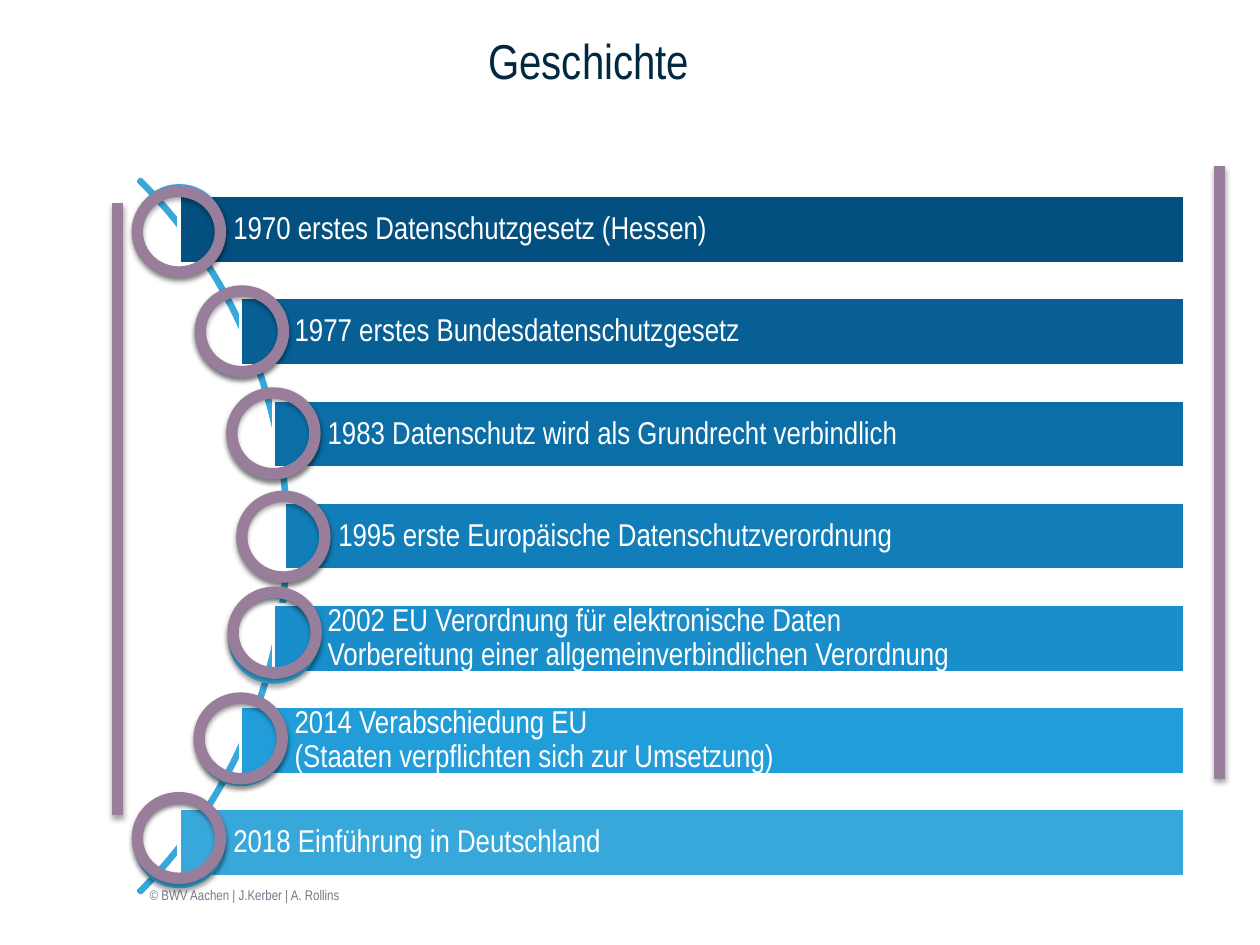
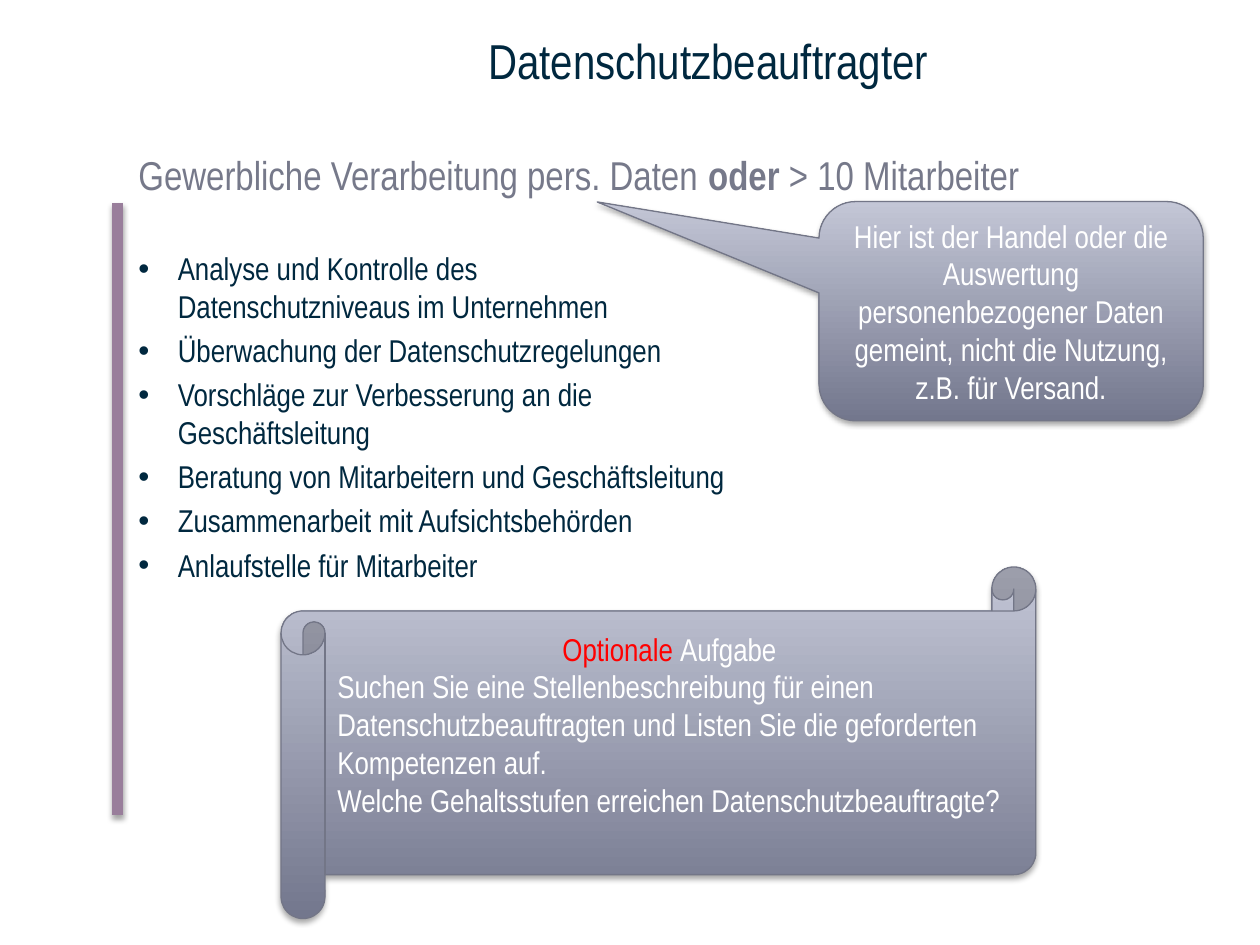
from dataclasses import dataclass, field
from math import sqrt
from typing import Any, NamedTuple

from lxml import etree
from pptx import Presentation
from pptx.dml.color import RGBColor
from pptx.enum.shapes import MSO_CONNECTOR, MSO_SHAPE
from pptx.enum.text import MSO_ANCHOR, PP_ALIGN
from pptx.oxml.ns import qn
from pptx.util import Pt

RECT, OVAL, ARC = MSO_SHAPE.RECTANGLE, MSO_SHAPE.OVAL, MSO_SHAPE.BLOCK_ARC
SCROLL, CALLOUT = MSO_SHAPE.HORIZONTAL_SCROLL, MSO_SHAPE.ROUNDED_RECTANGULAR_CALLOUT
STRAIGHT = MSO_CONNECTOR.STRAIGHT
TOP, MIDDLE = MSO_ANCHOR.TOP, MSO_ANCHOR.MIDDLE
LEFT, CENTER = PP_ALIGN.LEFT, PP_ALIGN.CENTER

FONT = "Arial Narrow"
COLORS = {
    "white": "FFFFFF", "navy": "00283F", "slate": "76798A", "red": "FF0000",
    "mauve": "997E9B", "sky": "38A8DB", "edge": "737687",
    "panel_dark": "73778D", "panel_light": "C3C6D6",
}
BODY_SIZE = 18
ACCENT_WIDTH = 6.5
BULLET_INDENT = 22.5


class Box(NamedTuple):
    left: float
    top: float
    width: float
    height: float

    def points(self) -> list[Pt]:
        return [Pt(value) for value in self]


class Span(NamedTuple):
    text: str
    color: str = "white"
    size: float = BODY_SIZE
    bold: bool = False


@dataclass
class Para:
    spans: list[Span]
    layout: dict[str, Any] = field(default_factory=dict)
    bullet: bool = False


class Milestone(NamedTuple):
    text: str
    color: str
    ring_left: float
    ring_top: float


def rgb(name: str) -> RGBColor:
    return RGBColor.from_string(COLORS.get(name, name))


def apply(target: Any, values: dict[str, Any]) -> None:
    for name, value in values.items():
        setattr(target, name, value)


# Shared drawing functions
def set_effects(shape: Any, shadow: bool) -> None:
    """Replace the theme shadow; call after fill and line are set."""
    effects = etree.SubElement(shape._element.spPr, qn("a:effectLst"))
    if shadow:
        outer = etree.SubElement(effects, qn("a:outerShdw"), blurRad=str(Pt(3.1)),
                                 dist=str(Pt(1.8)), dir="5400000", rotWithShape="0")
        black = etree.SubElement(outer, qn("a:srgbClr"), val="000000")
        etree.SubElement(black, qn("a:alpha"), val="35000")


def set_line(shape: Any, color: str, width: float) -> None:
    shape.line.color.rgb = rgb(color)
    shape.line.width = Pt(width)


def add_outline(slide: Any, kind: Any, box: Box, color: str, width: float,
                fill: str = "", shadow: bool = False) -> Any:
    shape = slide.shapes.add_shape(kind, *box.points())
    if fill:
        shape.fill.solid()
        shape.fill.fore_color.rgb = rgb(fill)
    else:
        shape.fill.background()
    set_line(shape, color, width)
    set_effects(shape, shadow)
    return shape


def add_accent_line(slide: Any, x: float, top: float, bottom: float) -> None:
    line = slide.shapes.add_connector(STRAIGHT, Pt(x), Pt(top), Pt(x), Pt(bottom))
    set_line(line, "mauve", ACCENT_WIDTH)
    set_effects(line, True)


def add_bullet(paragraph: Any) -> None:
    properties = paragraph._p.get_or_add_pPr()
    properties.set("marL", str(Pt(BULLET_INDENT)))
    properties.set("indent", str(-Pt(BULLET_INDENT)))
    etree.SubElement(properties, qn("a:buFont"), typeface="Arial")
    etree.SubElement(properties, qn("a:buChar"), char="•")


def write(shape: Any, paras: list[Para], anchor: Any = TOP, **margins: Any) -> None:
    frame = shape.text_frame
    apply(frame, {"word_wrap": True, "vertical_anchor": anchor, **margins})
    for index, para in enumerate(paras):
        paragraph = frame.add_paragraph() if index else frame.paragraphs[0]
        if para.bullet:
            add_bullet(paragraph)
        apply(paragraph, {"alignment": LEFT, **para.layout})
        for span in para.spans:
            for number, text in enumerate(span.text.split("\n")):
                if number:
                    paragraph.add_line_break()
                run = paragraph.add_run()
                run.text = text
                apply(run.font, {"name": FONT, "size": Pt(span.size), "bold": span.bold})
                run.font.color.rgb = rgb(span.color)


def add_text(slide: Any, box: Box, paras: list[Para], anchor: Any = TOP) -> None:
    write(slide.shapes.add_textbox(*box.points()), paras, anchor)


def add_panel(slide: Any, kind: Any, box: Box, paras: list[Para],
              adjustments: tuple[float, ...] = (), **margins: Any) -> None:
    panel = slide.shapes.add_shape(kind, *box.points())
    for index, value in enumerate(adjustments):
        panel.adjustments[index] = value
    panel.fill.gradient()
    panel.fill.gradient_angle = 90
    for stop, color in zip(panel.fill.gradient_stops, ("panel_dark", "panel_light")):
        stop.color.rgb = rgb(color)
    for stop, position in zip(panel.fill.gradient_stops, (0, 1)):
        stop.position = position
    set_line(panel, "edge", 0.75)
    set_effects(panel, True)
    write(panel, paras, MIDDLE, **margins)


def add_titled_slide(prs: Any, title: str) -> Any:
    slide = prs.slides.add_slide(prs.slide_layouts[6])
    add_accent_line(slide, 67, 116, 466)
    add_text(slide, Box(272, 13.7, 448, 78.5), [Para([Span(title, "navy", 28)])])
    return slide


# Timeline: bars start on a circle around a centre left of the slide
MILESTONES = [
    Milestone("1970 erstes Datenschutzgesetz (Hessen)", "034F80", 78.5, 109.4),
    Milestone("1977 erstes Bundesdatenschutzgesetz", "075F94", 114.5, 166.3),
    Milestone("1983 Datenschutz wird als Grundrecht verbindlich", "0C6EA7", 132.5, 224.6),
    Milestone("1995 erste Europäische Datenschutzverordnung", "127EB9", 138.2, 283.7),
    Milestone("2002 EU Verordnung für elektronische Daten \n"
              "Vorbereitung einer allgemeinverbindlichen Verordnung", "198ECA", 133.2, 338.4),
    Milestone("2014 Verabschiedung EU \n(Staaten verpflichten sich zur Umsetzung)",
              "219EDA", 113.8, 398.9),
    Milestone("2018 Einführung in Deutschland", "38A8DB", 78.5, 455.8),
]
CENTER_X, CENTER_Y = -123.5, 306.4
ARC_RADIUS, BAR_RADIUS = 288.4, 285.9
BAR_PITCH, BAR_HEIGHT, BAR_RIGHT = 58.4, 38.9, 676.8
DOT_SIZE = 49


def build_history(prs: Any) -> None:
    slide = add_titled_slide(prs, "Geschichte")
    add_text(slide, Box(78.5, 496.8, 512.6, 28.8),
             [Para([Span("© BWV Aachen | J.Kerber | A. Rollins", "slate", 8)])], MIDDLE)
    arc_box = Box(CENTER_X - ARC_RADIUS, CENTER_Y - ARC_RADIUS, 2 * ARC_RADIUS, 2 * ARC_RADIUS)
    arc = add_outline(slide, ARC, arc_box, "sky", 2)
    for index, value in enumerate((189, 27, 0.003)):
        arc.adjustments[index] = value

    for index, step in enumerate(MILESTONES):
        offset = (index - len(MILESTONES) // 2) * BAR_PITCH
        left = CENTER_X + sqrt(BAR_RADIUS ** 2 - offset ** 2)
        middle = CENTER_Y + offset
        bar_box = Box(left, middle - BAR_HEIGHT / 2, BAR_RIGHT - left, BAR_HEIGHT)
        bar = add_outline(slide, RECT, bar_box, "white", 2, step.color)
        write(bar, [Para([Span(step.text)], {"line_spacing": 0.9})], MIDDLE,
              margin_left=Pt(30.9), margin_right=Pt(3.6))
        dot_box = Box(left - DOT_SIZE / 2, middle - DOT_SIZE / 2, DOT_SIZE, DOT_SIZE)
        add_outline(slide, OVAL, dot_box, "sky", 3, shadow=True)

    # Accent rings and right-hand line
    add_accent_line(slide, 697, 95, 445)
    for step in MILESTONES:
        add_outline(slide, OVAL, Box(step.ring_left, step.ring_top, 47.5, 46.1),
                    "mauve", ACCENT_WIDTH, shadow=True)


# Data protection officer: duties, task scroll and remark
DUTIES = [
    "Analyse und Kontrolle des \nDatenschutzniveaus im Unternehmen",
    "Überwachung der Datenschutzregelungen",
    "Vorschläge zur Verbesserung an die \nGeschäftsleitung",
    "Beratung von Mitarbeitern und Geschäftsleitung",
    "Zusammenarbeit mit Aufsichtsbehörden",
    "Anlaufstelle für Mitarbeiter",
]
TASK = [
    Para([Span("Optionale ", "red"), Span("Aufgabe")], {"alignment": CENTER}),
    Para([Span("Suchen Sie eine Stellenbeschreibung für einen Datenschutzbeauftragten "
               "und Listen Sie die geforderten Kompetenzen auf.")]),
    Para([Span("Welche Gehaltsstufen erreichen Datenschutzbeauftragte?")]),
]
REMARK = Para([Span("Hier ist der Handel oder die Auswertung personenbezogener Daten gemeint, "
                    "nicht die Nutzung, z.B. für Versand.")], {"alignment": CENTER})


def build_officer(prs: Any) -> None:
    slide = add_titled_slide(prs, "Datenschutzbeauftragter")
    condition = [Span("Gewerbliche Verarbeitung pers. Daten ", "slate", 23),
                 Span("oder", "slate", 23, True),
                 Span(" > 10 Mitarbeiter", "slate", 23)]
    add_text(slide, Box(72, 87.8, 640, 34.6), [Para(condition, {"line_spacing": 0.8})])
    duties = [Para([Span(duty, "navy")], {"space_before": Pt(3.6 if index else 0)}, True)
              for index, duty in enumerate(DUTIES)]
    add_text(slide, Box(72, 139, 598.3, 326.9), duties)
    add_panel(slide, SCROLL, Box(160.6, 324, 431.3, 200.9), TASK, margin_bottom=Pt(25))
    add_panel(slide, CALLOUT, Box(468, 115.2, 219.6, 125.3), [REMARK], (-1.077, -0.498, 0.167))


def main() -> None:
    prs = Presentation()
    apply(prs, {"slide_width": Pt(720), "slide_height": Pt(540)})
    build_history(prs)
    build_officer(prs)
    prs.save("out.pptx")


if __name__ == "__main__":
    main()
